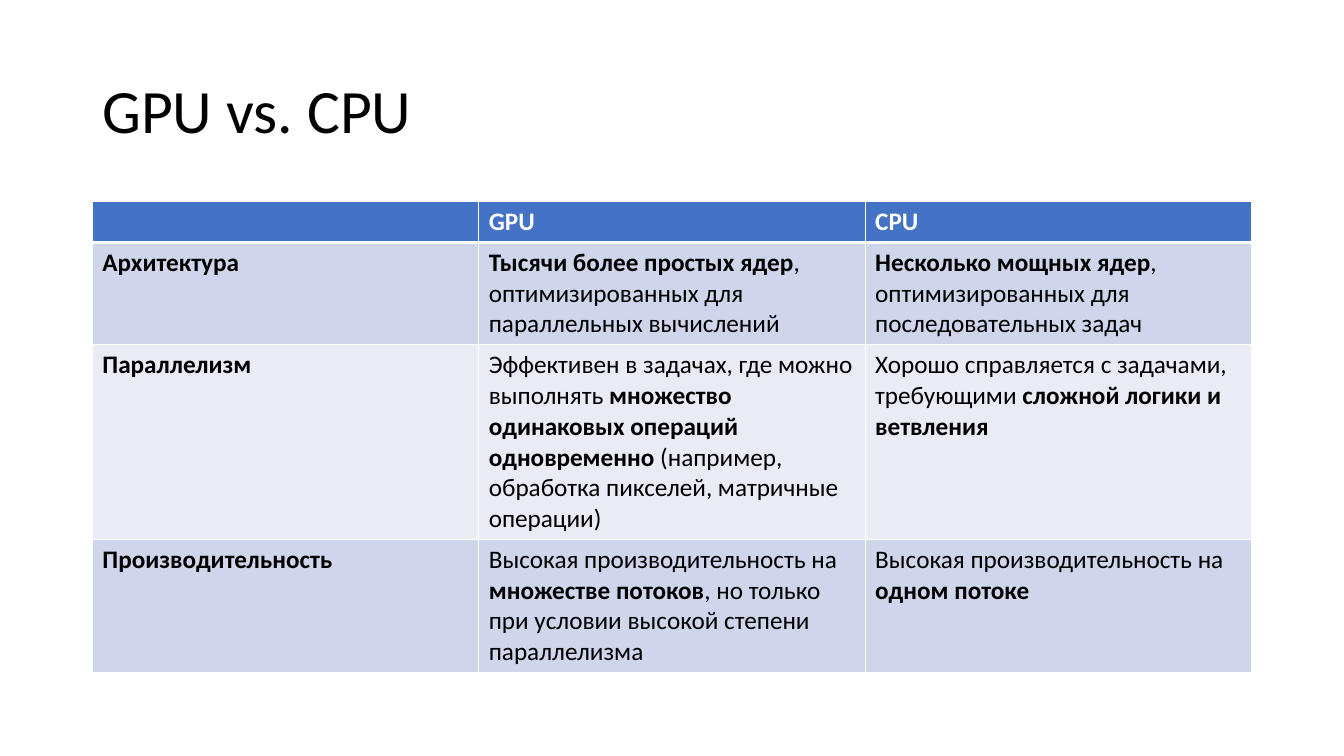
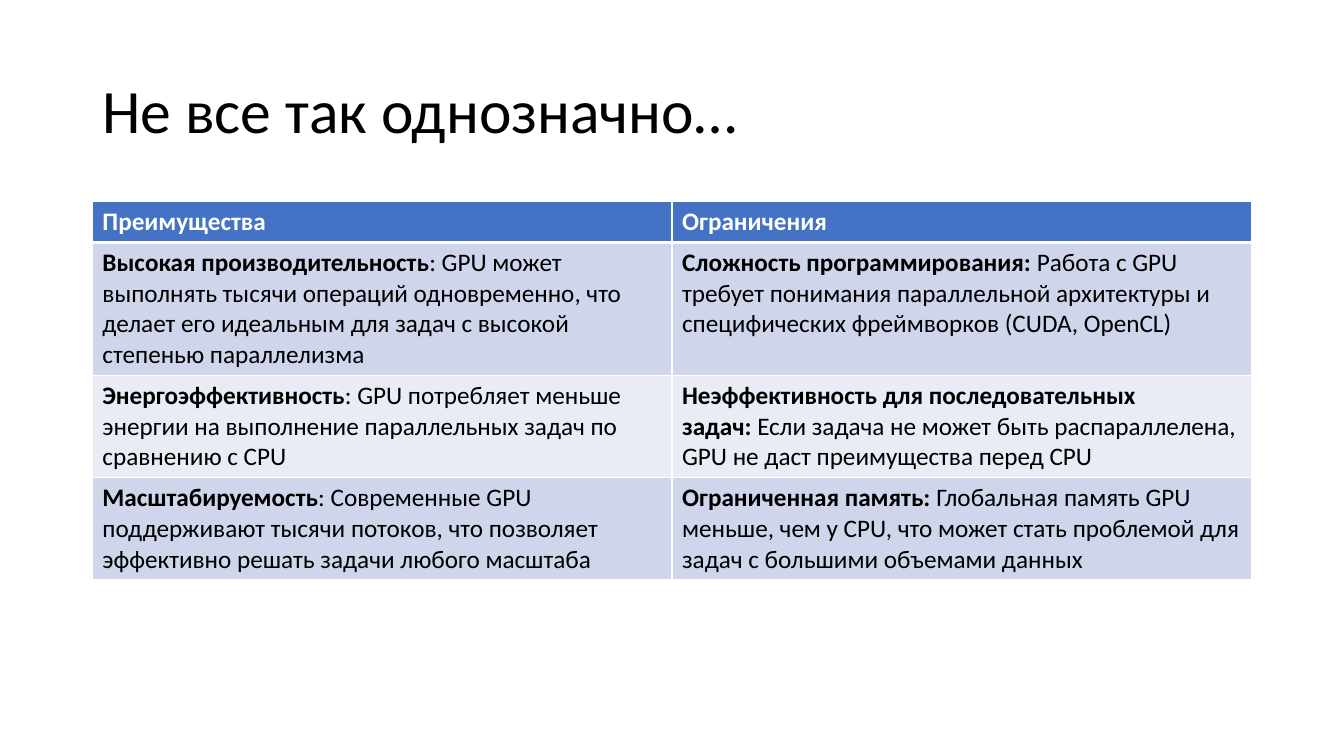
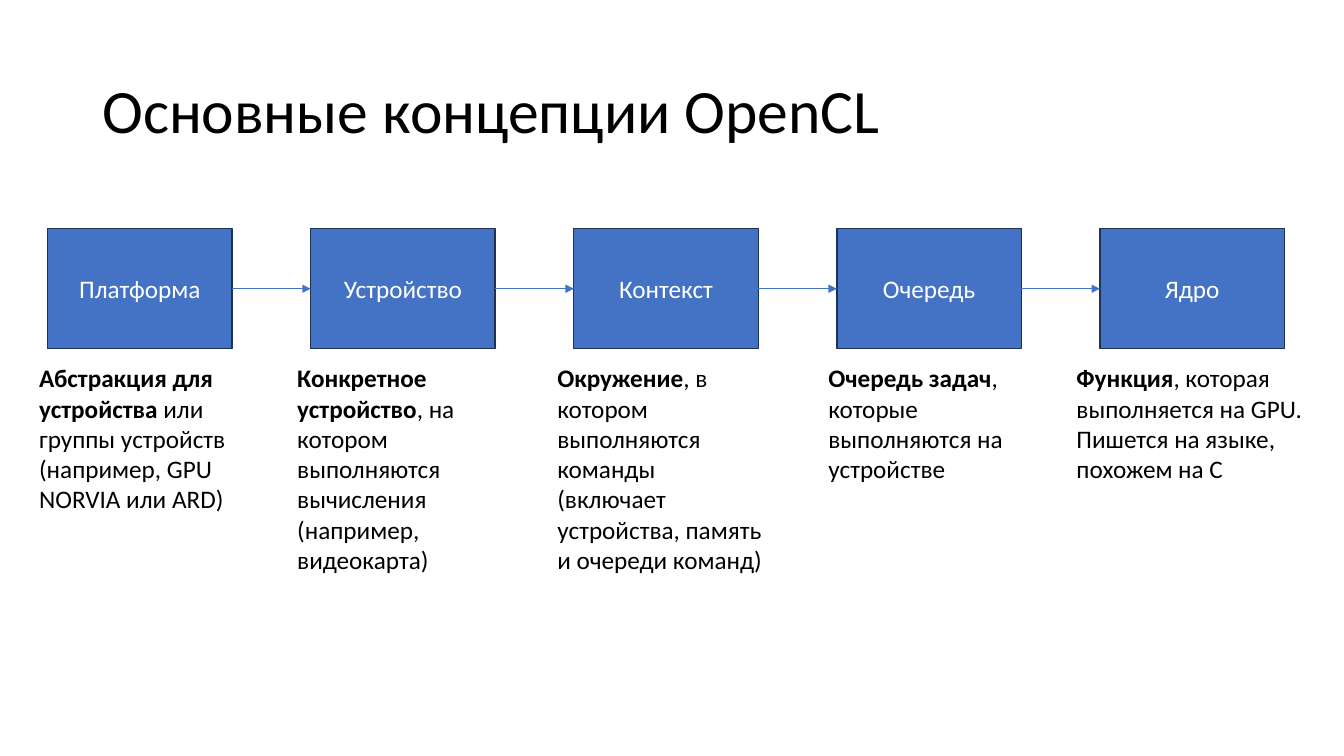
from lxml.etree import SubElement
from pptx import Presentation
from pptx.dml.color import RGBColor
from pptx.enum.shapes import MSO_CONNECTOR, MSO_SHAPE
from pptx.enum.text import MSO_ANCHOR, MSO_AUTO_SIZE, PP_ALIGN
from pptx.oxml import parse_xml
from pptx.oxml.ns import nsdecls, qn
from pptx.util import Pt

BLACK = RGBColor(0x00, 0x00, 0x00)
WHITE = RGBColor(0xFF, 0xFF, 0xFF)
BLUE = RGBColor(0x44, 0x72, 0xC4)
NAVY = RGBColor(0x1E, 0x32, 0x56)
BAND_DARK = RGBColor(0xCF, 0xD5, 0xEA)
BAND_LIGHT = RGBColor(0xE9, 0xEB, 0xF5)
FONT = "Calibri"
TITLE_SIZE = 44
BODY_SIZE = 18
LEFT, CONTENT_WIDTH = 66, 828
NBSP = chr(160)

COMPARISON = [
    (1, ["", "*GPU*", "*CPU*"]),
    (3, ["*Архитектура*",
         "*Тысячи более простых ядер*, оптимизированных для параллельных вычислений",
         "*Несколько мощных ядер*, оптимизированных для последовательных задач"]),
    (6, ["*Параллелизм*",
         "Эффективен в задачах, где можно выполнять *множество одинаковых операций "
         "одновременно* (например, обработка пикселей, матричные операции)",
         "Хорошо справляется с задачами, требующими *сложной логики и ветвления*"]),
    (4, ["*Производительность*",
         "Высокая производительность на *множестве потоков*, но только при условии "
         "высокой степени параллелизма",
         "Высокая производительность на *одном потоке*"]),
]

TRADE_OFFS = [
    (1, ["*Преимущества*", "*Ограничения*"]),
    (4, ["*Высокая производительность*: GPU может выполнять тысячи операций "
         "одновременно, что делает его идеальным для задач с высокой степенью параллелизма",
         f"*Сложность программирования:*{NBSP}Работа с GPU требует понимания "
         "параллельной архитектуры и специфических фреймворков (CUDA, OpenCL)"]),
    (3, ["*Энергоэффективность*: GPU потребляет меньше энергии на выполнение "
         "параллельных задач по сравнению с CPU",
         f"*Неэффективность для последовательных задач:*{NBSP}Если задача не может "
         "быть распараллелена, GPU не даст преимущества перед CPU"]),
    (3, ["*Масштабируемость*: Современные GPU поддерживают тысячи потоков, что "
         "позволяет эффективно решать задачи любого масштаба",
         f"*Ограниченная память:*{NBSP}Глобальная память GPU меньше, чем у CPU, что "
         "может стать проблемой для задач с большими объемами данных"]),
]

CONCEPTS = [
    ("Платформа", 20.9, 155.5, 5,
     "*Абстракция для устройства* или группы устройств (например, GPU NORVIA или ARD)"),
    ("Устройство", 205.2, 157.7, 7,
     "*Конкретное устройство*, на котором выполняются вычисления (например, видеокарта)"),
    ("Контекст", 391, 164.9, 7,
     "*Окружение*, в котором выполняются команды (включает устройства, память и очереди команд)"),
    ("Очередь", 584.6, 157.7, 4,
     "*Очередь задач*, которые выполняются на устройстве"),
    ("Ядро", 761.8, 180.7, 4,
     "*Функция*, которая выполняется на GPU. Пишется на языке, похожем на C"),
]


class SlideBuilder:
    def __init__(self):
        self.deck = Presentation()
        self.deck.slide_width, self.deck.slide_height = Pt(960), Pt(540)
        self.page = None

    def new_page(self, title):
        self.page = self.deck.slides.add_slide(self.deck.slide_layouts[6])
        box = self.text_box(LEFT, 28.75, CONTENT_WIDTH, 104.4, title, TITLE_SIZE)
        box.text_frame.vertical_anchor = MSO_ANCHOR.MIDDLE
        box.text_frame.paragraphs[0].line_spacing = 0.9

    def add_spans(self, text_frame, text, size=BODY_SIZE, color=BLACK):
        paragraph = text_frame.paragraphs[0]
        for index, part in enumerate(text.split("*")):
            if part:
                span = paragraph.add_run()
                span.text = part
                span.font.name = FONT
                span.font.size = Pt(size)
                span.font.bold = index % 2 == 1
                span.font.color.rgb = color
        return paragraph

    def text_box(self, left, top, width, height, text, size=BODY_SIZE):
        box = self.page.shapes.add_textbox(Pt(left), Pt(top), Pt(width), Pt(height))
        box.text_frame.word_wrap = True
        self.add_spans(box.text_frame, text, size)
        return box

    def caption(self, left, top, width, lines, text):
        box = self.text_box(left, top, width, 7.2 + 21.6 * lines, text)
        box.text_frame.auto_size = MSO_AUTO_SIZE.SHAPE_TO_FIT_TEXT

    def block(self, left, top, width, height, text):
        block = self.page.shapes.add_shape(
            MSO_SHAPE.RECTANGLE, Pt(left), Pt(top), Pt(width), Pt(height))
        block.shadow.inherit = False
        block.fill.solid()
        block.fill.fore_color.rgb = BLUE
        block.line.color.rgb = NAVY
        block.line.width = Pt(1)
        block.text_frame.vertical_anchor = MSO_ANCHOR.MIDDLE
        self.add_spans(block.text_frame, text, color=WHITE).alignment = PP_ALIGN.CENTER
        return block

    def arrow(self, source, target):
        arrow = self.page.shapes.add_connector(MSO_CONNECTOR.STRAIGHT, 0, 0, 0, 0)
        arrow.begin_connect(source, 3)
        arrow.end_connect(target, 1)
        arrow.line.color.rgb = BLUE
        arrow.line.width = Pt(0.5)
        properties = arrow._element.spPr
        SubElement(properties.get_or_add_ln(), qn("a:tailEnd"), type="triangle")
        SubElement(properties, qn("a:effectLst"))

    def cell_borders(self, cell, top, bottom):
        properties = cell._tc.get_or_add_tcPr()
        sides = [("lnL", 1), ("lnR", 1), ("lnT", top), ("lnB", bottom)]
        for index, (side, width) in enumerate(sides):
            properties.insert(index, parse_xml(
                f'<a:{side} {nsdecls("a")} w="{Pt(width)}"><a:solidFill>'
                f'<a:srgbClr val="{WHITE}"/></a:solidFill></a:{side}>'))

    def table(self, rows):
        columns = len(rows[0][1])
        heights = [Pt(7.2 + 21.96 * lines) for lines, _ in rows]
        table = self.page.shapes.add_table(
            len(rows), columns, Pt(LEFT), Pt(144), Pt(CONTENT_WIDTH), sum(heights)).table
        for column in table.columns:
            column.width = Pt(CONTENT_WIDTH / columns)
        for row_index, (_, texts) in enumerate(rows):
            table.rows[row_index].height = heights[row_index]
            header = row_index == 0
            band = BAND_DARK if row_index % 2 else BAND_LIGHT
            for column_index, text in enumerate(texts):
                cell = table.cell(row_index, column_index)
                cell.fill.solid()
                cell.fill.fore_color.rgb = BLUE if header else band
                self.cell_borders(cell, 3 if row_index == 1 else 1, 3 if header else 1)
                self.add_spans(cell.text_frame, text, color=WHITE if header else BLACK)

    def concept_chain(self, concepts):
        blocks = []
        for index, (name, left, width, lines, text) in enumerate(concepts):
            blocks.append(self.block(34 + 187.92 * index, 163.4, 131.8, 85.7, name))
            self.caption(left, 255.6, width, lines, text)
        for source, target in zip(blocks, blocks[1:]):
            self.arrow(source, target)


def main():
    builder = SlideBuilder()
    builder.new_page("GPU vs. CPU")
    builder.table(COMPARISON)
    builder.new_page("Не все так однозначно…")
    builder.table(TRADE_OFFS)
    builder.new_page("Основные концепции OpenCL")
    builder.concept_chain(CONCEPTS)
    builder.deck.save("out.pptx")


if __name__ == "__main__":
    main()
